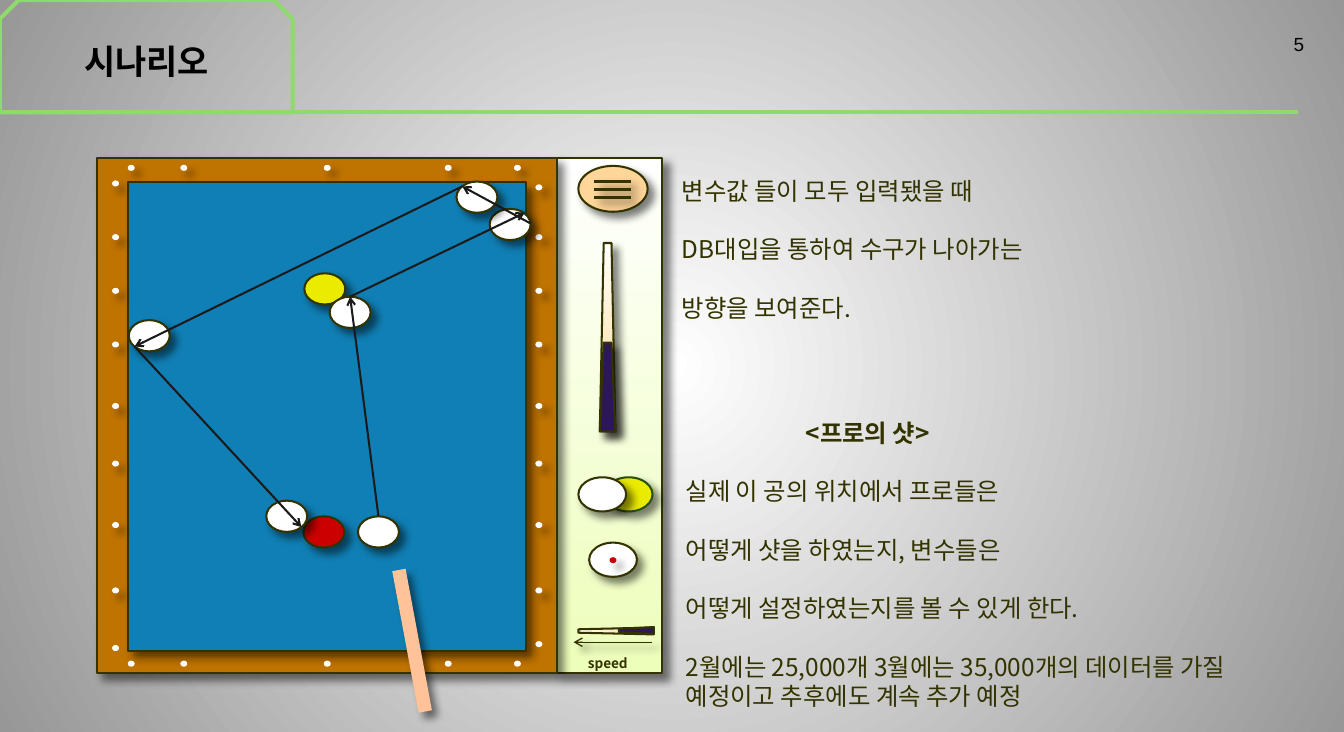
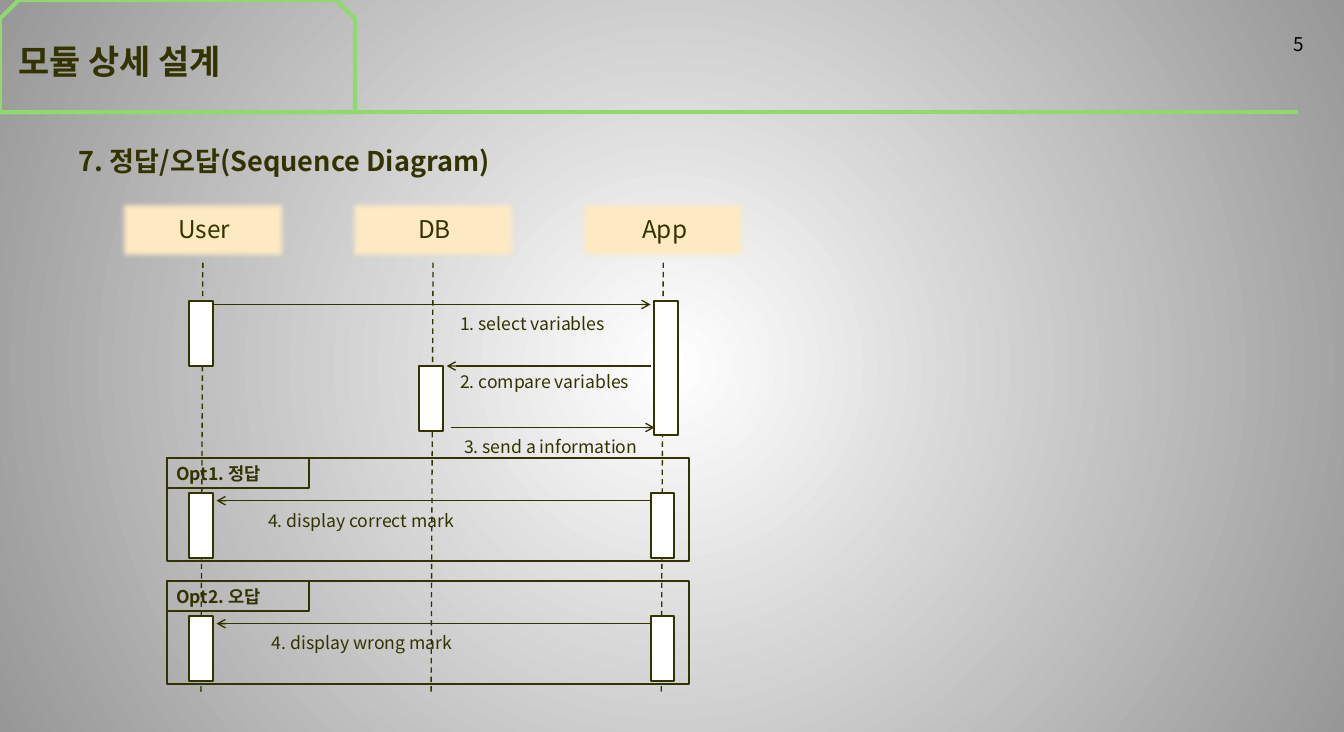
from lxml import etree
from pptx import Presentation
from pptx import util as u
from pptx.dml.color import RGBColor
from pptx.enum import dml, shapes, text
from pptx.oxml.ns import qn

PX = 9144  # 100 px to the inch
FONT = "Noto Sans CJK KR"
C = {
    "ink": "333300", "black": "000000", "path": "1A1A1A", "white": "FFFFFF",
    "edge": "979797", "frame": "8EDA6D", "wood": "BF7300", "cloth": "107FB5",
    "lime": "EDFEBA", "red": "CC0000", "yellow": "EBEB00", "moss": "275114",
    "peach": "FFD699", "stick": "FFC299", "maple": "FFD888", "grip": "2C1759",
    "header": "FFEBC4",
}
KIND = shapes.MSO_SHAPE
ALIGN = text.PP_ALIGN

# Content of the scenario slide
SHOT_NOTES = [
    "변수값 들이 모두 입력됐을 때",
    "DB대입을 통하여 수구가 나아가는",
    "방향을 보여준다.",
]
PRO_HEADING = "<프로의 샷>"
PRO_NOTES = [
    "실제 이 공의 위치에서 프로들은",
    "어떻게 샷을 하였는지, 변수들은",
    "어떻게 설정하였는지를 볼 수 있게 한다.",
    "2월에는 25,000개 3월에는 35,000개의 데이터를 가질 예정이고 추후에도 계속 추가 예정",
]
DOT_COLUMNS = (132, 186, 333, 457, 528)
DOT_ROWS = (241, 296, 351, 414, 473, 536, 603)
DOT_SIDES = ((116, 186, 662), (550, 190, 658))  # x, top y, bottom y
BALLS = [(367, 529, "white"), (311, 529, "red"), (312, 280, "yellow")]
GHOST_BALLS = [(338, 304), (502, 214), (468, 186), (132, 328), (273, 513)]
SHOT_PATHS = [
    ((388, 529), (359, 304)), ((359, 304), (538, 218)),
    ((544, 229), (474, 191)), ((474, 191), (138, 355)),
    ((138, 355), (309, 540)),
]

# Content of the sequence slide
ACTORS = ["User", "DB", "App"]
ACTOR_GAP = 236
BARS = [(194, 308, 67), (671, 308, 138), (430, 375, 67)]  # x, y, height
MESSAGES = [  # from x, to x, y, text, text x, text y
    (218, 667, 312, "1. select variables", 462, 316),
    (667, 458, 375, "2. compare variables", 462, 375),
    (462, 671, 438, "3. send a information", 466, 442),
]
OPTIONS = [  # y, label, message, message x
    (469, "Opt1. 정답", "4. display correct mark", 265),
    (595, "Opt2. 오답", "4. display wrong mark", 269),
]


def px(*values):
    return [u.Emu(int(v * PX)) for v in values]


def rgb(name):
    return RGBColor.from_string(C[name])


def paint(fill, color):
    """One colour name fills solid, a pair fills as a gradient."""
    if color is None:
        fill.background()
    elif isinstance(color, tuple):
        fill.gradient()
        for stop, name in zip(fill.gradient_stops, color):
            stop.color.rgb = rgb(name)
        fill.gradient_angle = 90
    else:
        fill.solid()
        fill.fore_color.rgb = rgb(color)


def set_effects(sp, shadow=False, soft=0):
    effects = etree.SubElement(sp._element.spPr, qn("a:effectLst"))
    if shadow:
        outer = etree.SubElement(
            effects, qn("a:outerShdw"), blurRad=str(u.Pt(6)), dist=str(u.Pt(6)),
            dir="2700000", algn="tl", rotWithShape="0")
        color = etree.SubElement(outer, qn("a:srgbClr"), val=C["black"])
        etree.SubElement(color, qn("a:alpha"), val="50000")
    if soft:
        etree.SubElement(effects, qn("a:softEdge"), rad=str(u.Pt(soft)))


def add_shape(s, kind, box, fill=None, line="ink", width=1.5, shadow=False,
              soft=0, adj=(), rotation=0):
    sp = s.shapes.add_shape(kind, *px(*box))
    for i, value in enumerate(adj):
        sp.adjustments[i] = value
    paint(sp.fill, fill)
    if line:
        sp.line.color.rgb = rgb(line)
        sp.line.width = u.Pt(width)
    else:
        sp.line.fill.background()
    sp.rotation = rotation
    set_effects(sp, shadow, soft)
    return sp


def add_line(s, start, end, color="ink", width=1, arrow=False, dash=False,
             shadow=False):
    ln = s.shapes.add_connector(shapes.MSO_CONNECTOR.STRAIGHT,
                                *px(*start, *end))
    ln.line.color.rgb = rgb(color)
    ln.line.width = u.Pt(width)
    if dash:
        ln.line.dash_style = dml.MSO_LINE.DASH
    if arrow:
        etree.SubElement(ln.line._get_or_add_ln(), qn("a:tailEnd"),
                         type="arrow")
    set_effects(ln, shadow)


def style_run(r, size, color="ink", bold=False, font=FONT):
    r.font.size = u.Pt(size)
    r.font.bold = bold
    r.font.color.rgb = rgb(color)
    r.font.name = font
    etree.SubElement(r._r.get_or_add_rPr(), qn("a:ea"), typeface=font)


def add_paragraph(p, words, size, align=ALIGN.LEFT, before=0, **style):
    p.alignment = align
    p.line_spacing = u.Pt(size * 1.2)
    p.space_before = u.Pt(before)
    r = p.add_run()
    r.text = words
    style_run(r, size, **style)


def add_label(s, words, box, size, **style):
    tf = s.shapes.add_textbox(*px(*box)).text_frame
    tf.word_wrap = True
    add_paragraph(tf.paragraphs[0], words, size, **style)


def place(sp, box):
    sp.left, sp.top, sp.width, sp.height = px(*box)


def fill_body(body, box, lines, heading_indent=0):
    """Spaced lines without bullets; a heading is bold and indented."""
    place(body, box)
    tf = body.text_frame
    tf.auto_size = text.MSO_AUTO_SIZE.NONE
    tf.vertical_anchor = text.MSO_ANCHOR.TOP
    for i, words in enumerate(lines):
        p = tf.add_paragraph() if i else tf.paragraphs[0]
        heading = heading_indent if i == 0 else 0
        add_paragraph(p, words, 18, before=21.6 if i else 0,
                      bold=bool(heading))
        pPr = p._p.get_or_add_pPr()
        pPr.set("marL", str(heading * PX))
        pPr.set("indent", "0")
        etree.SubElement(pPr, qn("a:buNone"))


def set_background(master):
    fill = master.background.fill
    paint(fill, ("white", "edge"))
    lin = master._element.find(".//" + qn("a:lin"))
    circle = etree.Element(qn("a:path"), path="circle")
    etree.SubElement(circle, qn("a:fillToRect"),
                     l="50000", t="50000", r="50000", b="50000")
    lin.getparent().replace(lin, circle)


def add_slide(prs, layout, title, tab_width, align, color, number_font):
    """Slide with the title tab, the rule and the page number."""
    s = prs.slides.add_slide(prs.slide_layouts[layout])
    add_label(s, "5", (1026, 28, 321, 27), 14, align=ALIGN.RIGHT,
              color="black", font=number_font)
    add_shape(s, KIND.SNIP_2_SAME_RECTANGLE, (0, 0, tab_width, 115),
              line="frame", width=3, adj=(0.167, 0))
    add_line(s, (0, 115), (1331, 115), "frame", 3)
    place(s.shapes.title, (9, 10, tab_width - 18, 105))
    tf = s.shapes.title.text_frame
    tf.vertical_anchor = text.MSO_ANCHOR.MIDDLE
    p = tf.paragraphs[0]
    p.alignment = align
    r = p.add_run()
    r.text = title
    style_run(r, 25, color, True)
    return s


def draw_table(s):
    add_shape(s, KIND.RECTANGLE, (571, 162, 108, 528), ("lime", "white"),
              shadow=True)
    add_shape(s, KIND.RECTANGLE, (99, 162, 472, 528), "wood", shadow=True)
    add_shape(s, KIND.RECTANGLE, (131, 187, 408, 480), "cloth", shadow=True)
    # Cushion dots: the bottom ones cast no shadow
    dots = [(x, y, y == 170) for y in (170, 678) for x in DOT_COLUMNS]
    for x, top, bottom in DOT_SIDES:
        dots += [(x, y, y != bottom) for y in (top, *DOT_ROWS, bottom)]
    for x, y, shadow in dots:
        add_shape(s, KIND.OVAL, (x, y, 5, 4), "white", "white", shadow=shadow)
    add_line(s, (436, 729), (409, 584), "stick", 10, shadow=True)
    # Balls and the way of the cue ball
    for x, y, color in BALLS + [(x, y, "white") for x, y in GHOST_BALLS]:
        add_shape(s, KIND.OVAL, (x, y, 42, 32), color, shadow=True)
    for start, end in SHOT_PATHS:
        add_line(s, start, end, "path", 1.5, arrow=True)


def draw_controls(s):
    # Menu button
    add_shape(s, KIND.OVAL, (593, 170, 71, 47), "peach", shadow=True)
    for y in (186, 194, 202):
        add_line(s, (609, y), (647, y), width=2.25, shadow=True)
    # Upright cue, then the lying one of the speed control
    for box, fill, rotation in (
            ((615, 249, 16, 193), ("maple", "white"), 0),
            ((615, 351, 16, 91), "grip", 0),
            ((628, 608, 7, 77), ("maple", "white"), 270),
            ((649, 628, 7, 36), "grip", 270)):
        add_shape(s, KIND.TRAPEZOID, box, fill, adj=(0.25,),
                  rotation=rotation, shadow=not rotation)
    # Thickness and hit point
    for x, y, fill, line in ((620, 489, "yellow", "moss"),
                             (593, 489, "white", "ink"),
                             (604, 556, "white", "ink")):
        add_shape(s, KIND.OVAL, (x, y, 49, 35), fill, line, shadow=True)
    add_shape(s, KIND.OVAL, (626, 572, 5, 4), "red", "red", shadow=True)
    add_line(s, (669, 658), (588, 658), arrow=True, shadow=True)
    add_label(s, "speed", (593, 666, 87, 27), 10, bold=True)


def draw_sequence(s):
    add_label(s, "7. 정답/오답(Sequence Diagram)", (71, 143, 1208, 43), 20,
              bold=True)
    # Actors and lifelines
    for i, actor in enumerate(ACTORS):
        dx = i * ACTOR_GAP
        add_shape(s, KIND.RECTANGLE, (119.5 + dx, 202, 177, 67), "header",
                  None, soft=5)
        add_label(s, actor, (123 + dx, 214, 173, 40), 18, align=ALIGN.CENTER)
        add_line(s, (208 + dx, 269), (206 + dx, 710), dash=True)
    # Activations and messages
    for x, y, height in BARS:
        add_shape(s, KIND.RECTANGLE, (x, y, 24, height), "white")
    for x1, x2, y, words, text_x, text_y in MESSAGES:
        add_line(s, (x1, y), (x2, y), arrow=True)
        add_label(s, words, (text_x, text_y, 307, 32), 13)
    # Option frames
    for y, label, words, text_x in OPTIONS:
        for width, height in ((535, 106), (146, 31)):
            add_shape(s, KIND.RECTANGLE, (171, y, width, height))
        add_label(s, label, (171, y, 161, 32), 13, bold=True)
        add_line(s, (667, y + 44), (222, y + 44), arrow=True)
        for x in (194, 667):
            add_shape(s, KIND.RECTANGLE, (x, y + 36, 24, 67), "white")
        add_label(s, words, (text_x, y + 48, 307, 32), 13)


def main():
    prs = Presentation()
    prs.slide_width, prs.slide_height = u.Cm(35), u.Cm(19.05)
    set_background(prs.slide_master)

    s = add_slide(prs, 3, "시나리오", 300, ALIGN.CENTER, "black", "Arial")
    draw_table(s)
    draw_controls(s)
    fill_body(s.placeholders[1], (689, 175, 591, 162), SHOT_NOTES)
    fill_body(s.placeholders[2], (693, 423, 640, 310),
              [PRO_HEADING] + PRO_NOTES, heading_indent=123)

    s = add_slide(prs, 5, "모듈 상세 설계", 364, ALIGN.LEFT, "ink", FONT)
    draw_sequence(s)
    prs.save("out.pptx")


if __name__ == "__main__":
    main()
